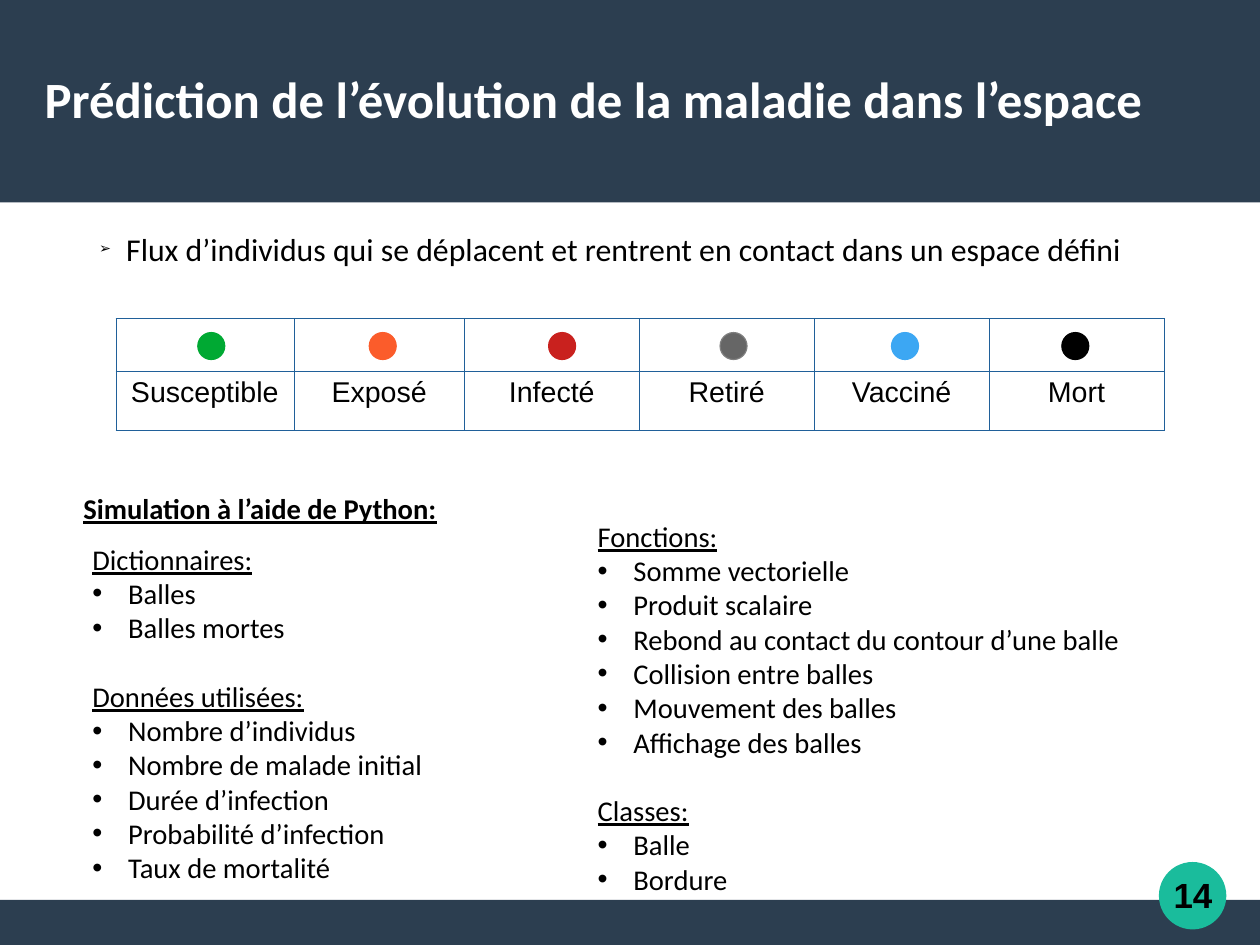
from lxml.etree import SubElement
from pptx import Presentation
from pptx.dml.color import RGBColor
from pptx.enum.shapes import MSO_SHAPE
from pptx.enum.text import MSO_ANCHOR, PP_ALIGN
from pptx.oxml.ns import qn
from pptx.util import Pt

NAVY = RGBColor(0x2C, 0x3E, 0x50)
TEAL = RGBColor(0x1A, 0xBC, 0x9C)
WHITE = RGBColor(0xFF, 0xFF, 0xFF)
BLACK = RGBColor(0, 0, 0)
GREEN = RGBColor(0x00, 0xA9, 0x33)
ORANGE = RGBColor(0xFB, 0x5C, 0x2B)
RED = RGBColor(0xC9, 0x21, 0x1E)
GREY = RGBColor(0x66, 0x66, 0x66)
LIGHT_GREY = RGBColor(0x80, 0x80, 0x80)
BLUE = RGBColor(0x3C, 0xA7, 0xF3)
BORDER = RGBColor(0x20, 0x60, 0x99)

SLIDE_WIDTH, SLIDE_HEIGHT = 793.7, 595.3
LINE_HEIGHT = 21.6

# Name, left edge of the dot, fill, outline
STATES = [
    ("Susceptible", 124.6, GREEN, GREEN),
    ("Exposé", 232.6, ORANGE, ORANGE),
    ("Infecté", 345.6, RED, RED),
    ("Retiré", 453.6, GREY, LIGHT_GREY),
    ("Vacciné", 561.6, BLUE, BLUE),
    ("Mort", 668.9, BLACK, BLACK),
]
COLUMN_WIDTHS = [112.3, 107.3] + [110.2] * 4
ROW_HEIGHTS = [32.9, 37.7]

INPUTS = {
    "Dictionnaires:": ["Balles", "Balles mortes"],
    "Données utilisées:": [
        "Nombre d’individus",
        "Nombre de malade initial",
        "Durée d’infection",
        "Probabilité d’infection",
        "Taux de mortalité",
    ],
}
CODE_PARTS = {
    "Fonctions:": [
        "Somme vectorielle",
        "Produit scalaire",
        "Rebond au contact du contour d’une balle",
        "Collision entre balles",
        "Mouvement des balles",
        "Affichage des balles",
    ],
    "Classes:": ["Balle", "Bordure"],
}


def write(paragraph, text, size=18, font="Calibri", color=BLACK, bold=False,
          underline=False, align=PP_ALIGN.LEFT):
    paragraph.alignment = align
    run = paragraph.add_run()
    run.text = text
    run.font.size = Pt(size)
    run.font.name = font
    run.font.color.rgb = color
    run.font.bold = bold
    run.font.underline = underline


def add_bullet(paragraph, char, indent, percent=100):
    """Give the paragraph a black bullet and a hanging indent in points."""
    properties = paragraph._p.get_or_add_pPr()
    properties.set("marL", str(Pt(indent)))
    properties.set("indent", str(-Pt(indent)))
    color = SubElement(properties, qn("a:buClr"))
    SubElement(color, qn("a:srgbClr"), val=str(BLACK))
    SubElement(properties, qn("a:buSzPct"), val=str(percent * 1000))
    SubElement(properties, qn("a:buFont"), typeface="Arial")
    SubElement(properties, qn("a:buChar"), char=char)


def add_text_frame(slide, left, top, width, height, wrap=True):
    box = slide.shapes.add_textbox(Pt(left), Pt(top), Pt(width), Pt(height))
    box.text_frame.word_wrap = wrap
    return box.text_frame


def add_filled(slide, kind, left, top, width, height, fill, outline=None):
    shape = slide.shapes.add_shape(kind, Pt(left), Pt(top), Pt(width), Pt(height))
    shape.shadow.inherit = False
    shape.fill.solid()
    shape.fill.fore_color.rgb = fill
    if outline is None:
        shape.line.fill.background()
    else:
        shape.line.color.rgb = outline
        shape.line.width = Pt(0)


def add_title(slide, text):
    frame = add_text_frame(slide, 28.1, 23.8, 737.3, 75.6)
    frame.margin_left = frame.margin_right = 0
    frame.margin_top = frame.margin_bottom = 0
    frame.vertical_anchor = MSO_ANCHOR.MIDDLE
    write(frame.paragraphs[0], text, size=32, color=WHITE, bold=True)


def add_groups(slide, left, top, width, height, groups):
    """Stack underlined headings, each followed by its bulleted items."""
    frame = add_text_frame(slide, left, top, width, height)
    for number, (heading, items) in enumerate(groups.items()):
        paragraph = frame.add_paragraph() if number else frame.paragraphs[0]
        if number:
            paragraph.space_before = Pt(LINE_HEIGHT)
        write(paragraph, heading, underline=True)
        for item in items:
            paragraph = frame.add_paragraph()
            add_bullet(paragraph, "•", 22.5)
            write(paragraph, item)


def style_cell(cell):
    cell.fill.background()
    properties = cell._tc.get_or_add_tcPr()
    for position, side in enumerate(("a:lnL", "a:lnR", "a:lnT", "a:lnB")):
        line = SubElement(properties, qn(side), w=str(Pt(0.06)))
        fill = SubElement(line, qn("a:solidFill"))
        SubElement(fill, qn("a:srgbClr"), val=str(BORDER))
        properties.insert(position, line)


def add_state_table(slide):
    table = slide.shapes.add_table(
        len(ROW_HEIGHTS), len(STATES), Pt(72.9), Pt(200.6),
        Pt(sum(COLUMN_WIDTHS)), Pt(sum(ROW_HEIGHTS))).table
    table.first_row = table.horz_banding = False
    for row, height in zip(table.rows, ROW_HEIGHTS):
        row.height = Pt(height)
    for column, width in zip(table.columns, COLUMN_WIDTHS):
        column.width = Pt(width)
    for cell in table.iter_cells():
        style_cell(cell)
    for index, (name, dot_left, fill, outline) in enumerate(STATES):
        label = table.cell(1, index).text_frame.paragraphs[0]
        write(label, name, font="Arial", align=PP_ALIGN.CENTER)
        add_filled(slide, MSO_SHAPE.OVAL, dot_left, 209.5, 17, 17, fill, outline)


def main():
    deck = Presentation()
    deck.slide_width, deck.slide_height = Pt(SLIDE_WIDTH), Pt(SLIDE_HEIGHT)
    slide = deck.slides.add_slide(deck.slide_layouts[6])

    add_filled(slide, MSO_SHAPE.RECTANGLE, 0, 566.9, SLIDE_WIDTH, 28.4, NAVY)
    add_filled(slide, MSO_SHAPE.RECTANGLE, 0, 0, SLIDE_WIDTH, 127.6, NAVY)
    add_filled(slide, MSO_SHAPE.OVAL, 730, 543, 42.5, 42.5, TEAL)
    add_title(slide, "Prédiction de l’évolution de la maladie dans l’espace")

    flow = add_text_frame(slide, 55.4, 141.1, 714.2, 31).paragraphs[0]
    add_bullet(flow, "➢", 17, percent=45)
    write(flow, "Flux d’individus qui se déplacent et rentrent en contact "
          "dans un espace défini", size=20, align=PP_ALIGN.JUSTIFY)

    add_state_table(slide)

    simulation = add_text_frame(slide, 45.4, 306, 396.7, 28.8).paragraphs[0]
    write(simulation, "Simulation à l’aide de Python:", bold=True, underline=True)
    add_groups(slide, 51.1, 337.7, 396.7, 223.2, INPUTS)
    add_groups(slide, 369.4, 323.3, 367.9, 269.3, CODE_PARTS)

    page = add_text_frame(slide, 732.2, 546.5, 38.9, 37.4, wrap=False).paragraphs[0]
    write(page, "14", size=22, font="Arial", bold=True)

    deck.save("out.pptx")


if __name__ == "__main__":
    main()
